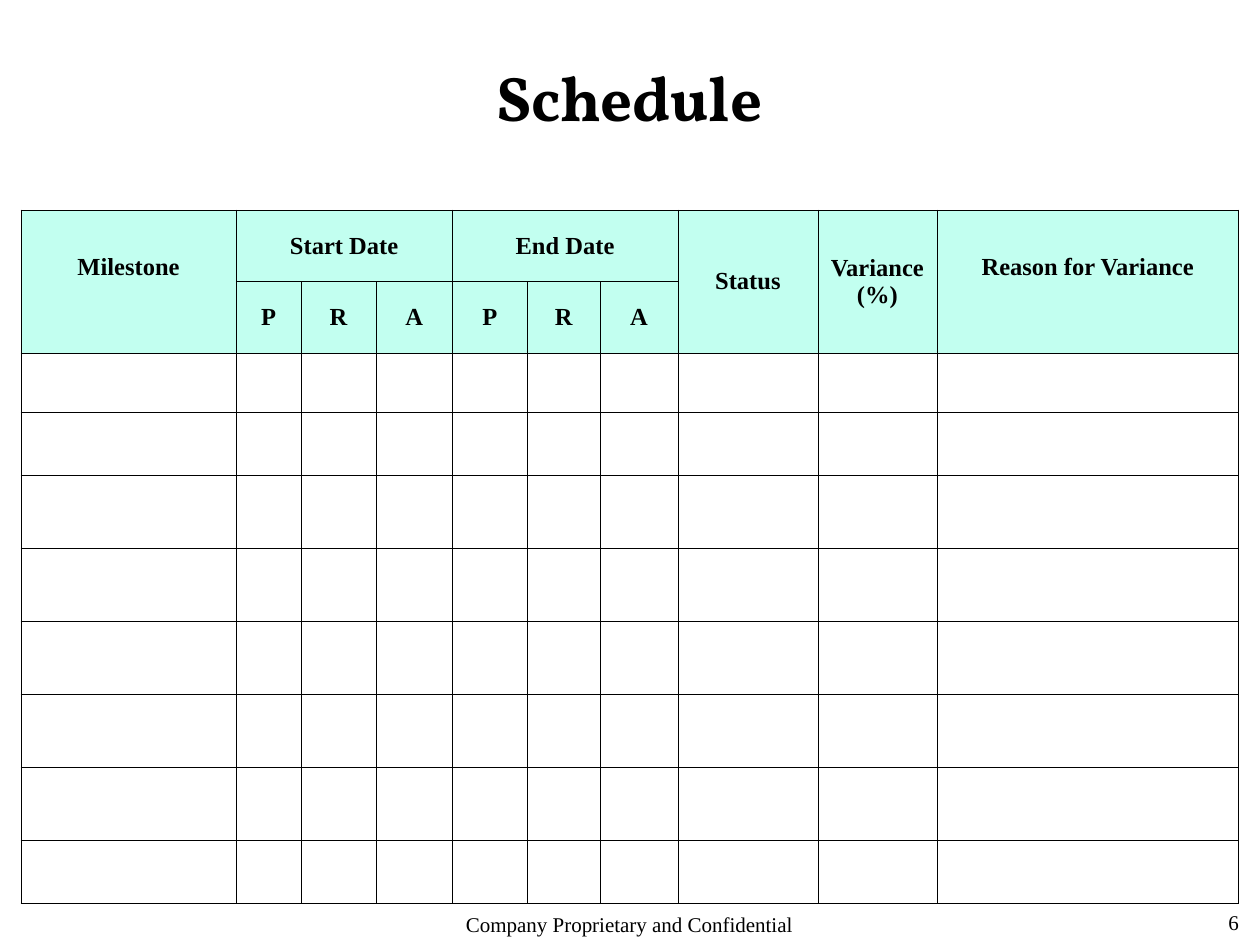
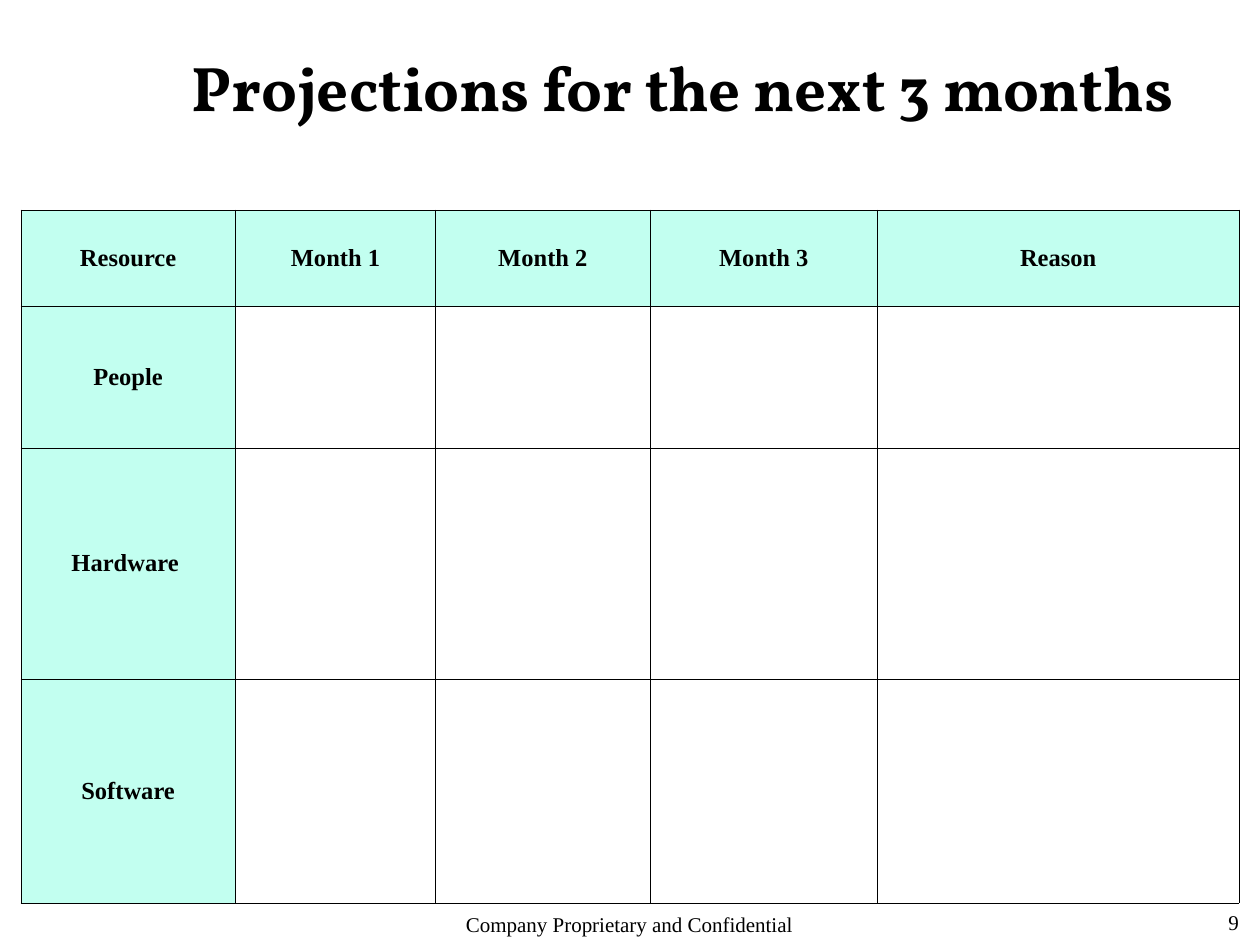
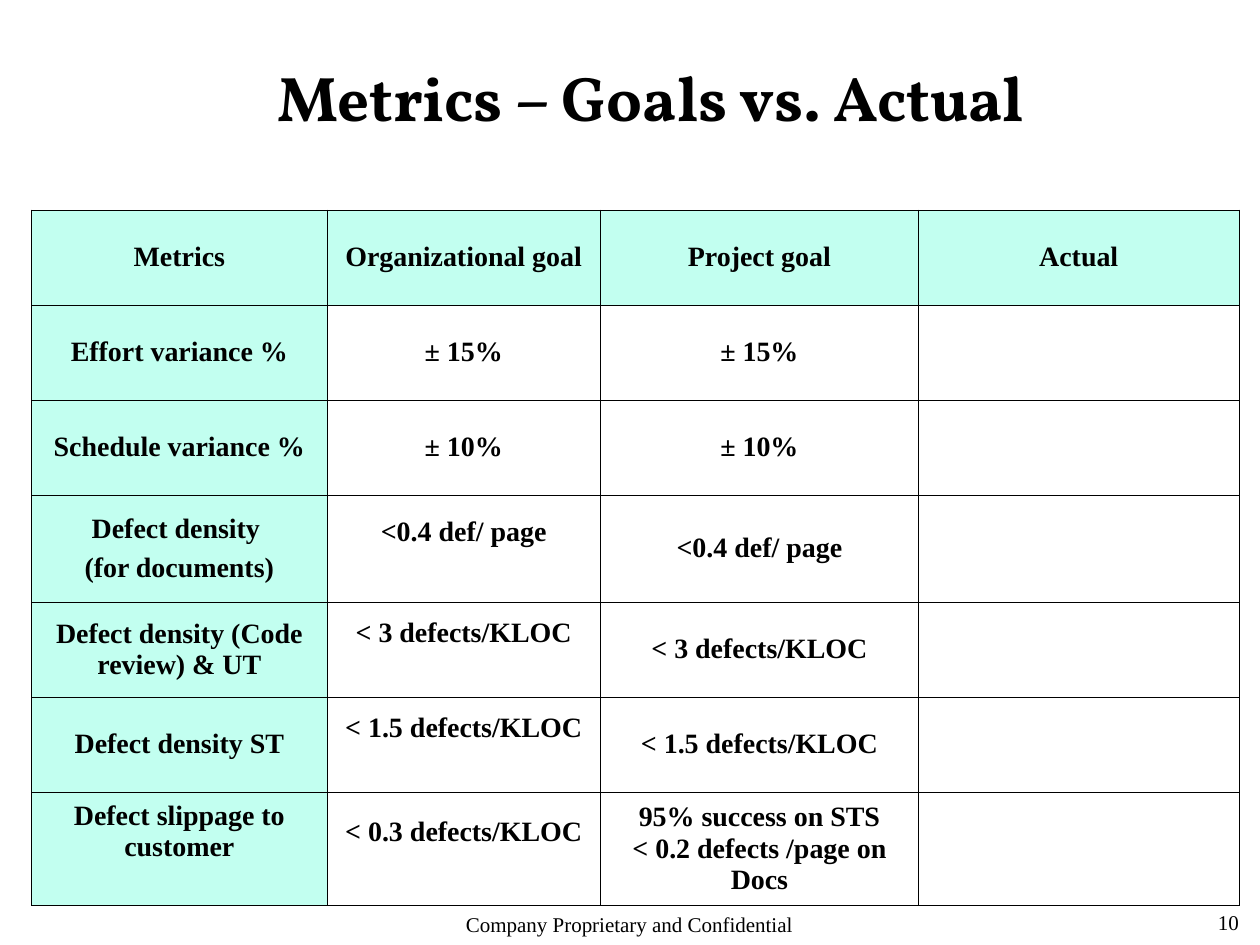
"""Builds three project review slides: schedule, projections and metrics."""
import dataclasses

import lxml.etree
import pptx
import pptx.dml.color
import pptx.enum.text
import pptx.oxml.ns
import pptx.util

Pt = pptx.util.Pt


@dataclasses.dataclass(frozen=True)
class Theme:
    ink: str = "000000"
    header_fill: str = "C2FFF0"
    title_font: str = "Vollkorn"
    body_font: str = "Times New Roman"
    title_size: float = 36
    footer_size: float = 12
    grid_size: float = 14
    metrics_size: float = 16
    border: float = 0.45
    inset_x: float = 7.2
    inset_y: float = 3.6
    lift: float = 1.2


@dataclasses.dataclass(frozen=True)
class Entry:
    text: str
    raised: bool = False
    gap: float = 0


THEME = Theme()
SLIDE_WIDTH, SLIDE_HEIGHT = 720, 540
TABLE_TOP = 120
FOOTER = "Company Proprietary and Confidential"


def write(frame, text, font, size, bold=False, gap=0):
    for index, line in enumerate(text.split("\n")):
        paragraph = frame.paragraphs[0] if index == 0 else frame.add_paragraph()
        paragraph.alignment = pptx.enum.text.PP_ALIGN.CENTER
        if index:
            paragraph.space_before = Pt(gap)
        run = paragraph.add_run()
        run.text = line
        run.font.name = font
        run.font.size = Pt(size)
        run.font.bold = bold
        run.font.color.rgb = pptx.dml.color.RGBColor.from_string(THEME.ink)


def set_insets(target, raise_by=0):
    target.margin_left = target.margin_right = Pt(THEME.inset_x)
    target.margin_top = Pt(THEME.inset_y)
    target.margin_bottom = Pt(THEME.inset_y + raise_by)


def add_label(slide, text, left, top, width, height, font, size, bold=False):
    frame = slide.shapes.add_textbox(Pt(left), Pt(top), Pt(width), Pt(height)).text_frame
    frame.word_wrap = True
    set_insets(frame)
    write(frame, text, font, size, bold)


def add_title(slide, text, left, top, width, height=50.4):
    add_label(slide, text, left, top, width, height, THEME.title_font, THEME.title_size, True)


def add_footer(slide, number, number_width=30):
    add_label(slide, number, SLIDE_WIDTH - number_width, 516, number_width, 24,
              THEME.body_font, THEME.footer_size)
    add_label(slide, FOOTER, 246, 517.5, 227.5, 22.5, THEME.body_font, THEME.footer_size)


def outline_cell(cell):
    qn = pptx.oxml.ns.qn
    properties = cell._tc.get_or_add_tcPr()
    for side in ("a:lnL", "a:lnR", "a:lnT", "a:lnB"):
        edge = lxml.etree.SubElement(properties, qn(side), w=str(int(Pt(THEME.border))))
        fill = lxml.etree.SubElement(edge, qn("a:solidFill"))
        lxml.etree.SubElement(fill, qn("a:srgbClr"), val=THEME.ink)


def add_grid(slide, left, widths, heights, entries, size,
             header_rows=1, header_columns=1, merges=()):
    table = slide.shapes.add_table(len(heights), len(widths), Pt(left), Pt(TABLE_TOP),
                                   Pt(sum(widths)), Pt(sum(heights))).table
    table.first_row = table.horz_banding = False
    for column, width in zip(table.columns, widths):
        column.width = Pt(width)
    for row, height in zip(table.rows, heights):
        row.height = Pt(height)
    for first, last in merges:
        table.cell(*first).merge(table.cell(*last))
    for row in range(len(heights)):
        for column in range(len(widths)):
            cell = table.cell(row, column)
            outline_cell(cell)
            if row < header_rows or column < header_columns:
                cell.fill.solid()
                cell.fill.fore_color.rgb = pptx.dml.color.RGBColor.from_string(THEME.header_fill)
            else:
                cell.fill.background()
            entry = entries.get((row, column))
            set_insets(cell, THEME.lift * size if entry and entry.raised else 0)
            cell.vertical_anchor = pptx.enum.text.MSO_ANCHOR.MIDDLE
            if entry:
                write(cell.text_frame, entry.text, THEME.body_font, size, True, entry.gap)


def index_entries(rows):
    return {(r, c): item if isinstance(item, Entry) else Entry(item)
            for r, row in enumerate(rows) for c, item in enumerate(row) if item}


def build_schedule(slide):
    add_title(slide, "Schedule", 270, 30, 179.5)
    headings = [
        [Entry("Milestone", raised=True), "Start Date", "", "", "End Date", "", "",
         "Status", "Variance (%)", Entry("Reason for Variance", raised=True)],
        ["", *"PRA" * 2],
    ]
    merges = [((0, c), (1, c)) for c in (0, 7, 8, 9)]
    merges += [((0, c), (0, c + 2)) for c in (1, 4)]
    add_grid(slide, 12, [123, 37, 43, 43.5, 43, 41.5, 44.5, 80, 68, 172.5],
             [41, 41, 33.5, 36] + [41.7] * 5 + [36], index_entries(headings),
             THEME.grid_size, header_rows=2, header_columns=0, merges=merges)
    add_footer(slide, "6")


def build_projections(slide):
    add_title(slide, "Projections for the next 3 months", 84, 24, 612, 93.6)
    rows = [["Resource", "Month 1", "Month 2", "Month 3", "Reason"],
            ["People"], ["Hardware "], ["Software"]]
    add_grid(slide, 12, [122.5, 114.5, 122.5, 130, 206.5], [55, 81, 132, 128],
             index_entries(rows), THEME.grid_size)
    add_footer(slide, "9")


def build_metrics(slide):
    add_title(slide, "Metrics – Goals vs. Actual", 84, 30, 576)
    rows = [["Metrics", "Organizational goal", "Project goal", "Actual"]]
    rows += [[name, goal, goal] for name, goal in (("Effort variance %", "± 15%"),
                                                   ("Schedule variance %", "± 10%"))]
    rows += [[name, Entry(goal, raised=True), goal] for name, goal in (
        (Entry("Defect density \n(for documents)", gap=4.5), "<0.4 def/ page"),
        ("Defect density (Code review) & UT", "< 3 defects/KLOC"),
        ("Defect density ST", "< 1.5 defects/KLOC"))]
    rows.append([Entry("Defect slippage to customer", raised=True),
                 Entry("< 0.3 defects/KLOC", raised=True),
                 "95% success on STS\n< 0.2 defects /page on Docs"])
    add_grid(slide, 18, [169, 156, 182, 183], [54.3] * 3 + [61.1] + [54.3] * 2 + [64.5],
             index_entries(rows), THEME.metrics_size)
    add_footer(slide, "10", 36)


def main():
    deck = pptx.Presentation()
    deck.slide_width, deck.slide_height = Pt(SLIDE_WIDTH), Pt(SLIDE_HEIGHT)
    for build in (build_schedule, build_projections, build_metrics):
        build(deck.slides.add_slide(deck.slide_layouts[6]))
    deck.save("out.pptx")


if __name__ == "__main__":
    main()
